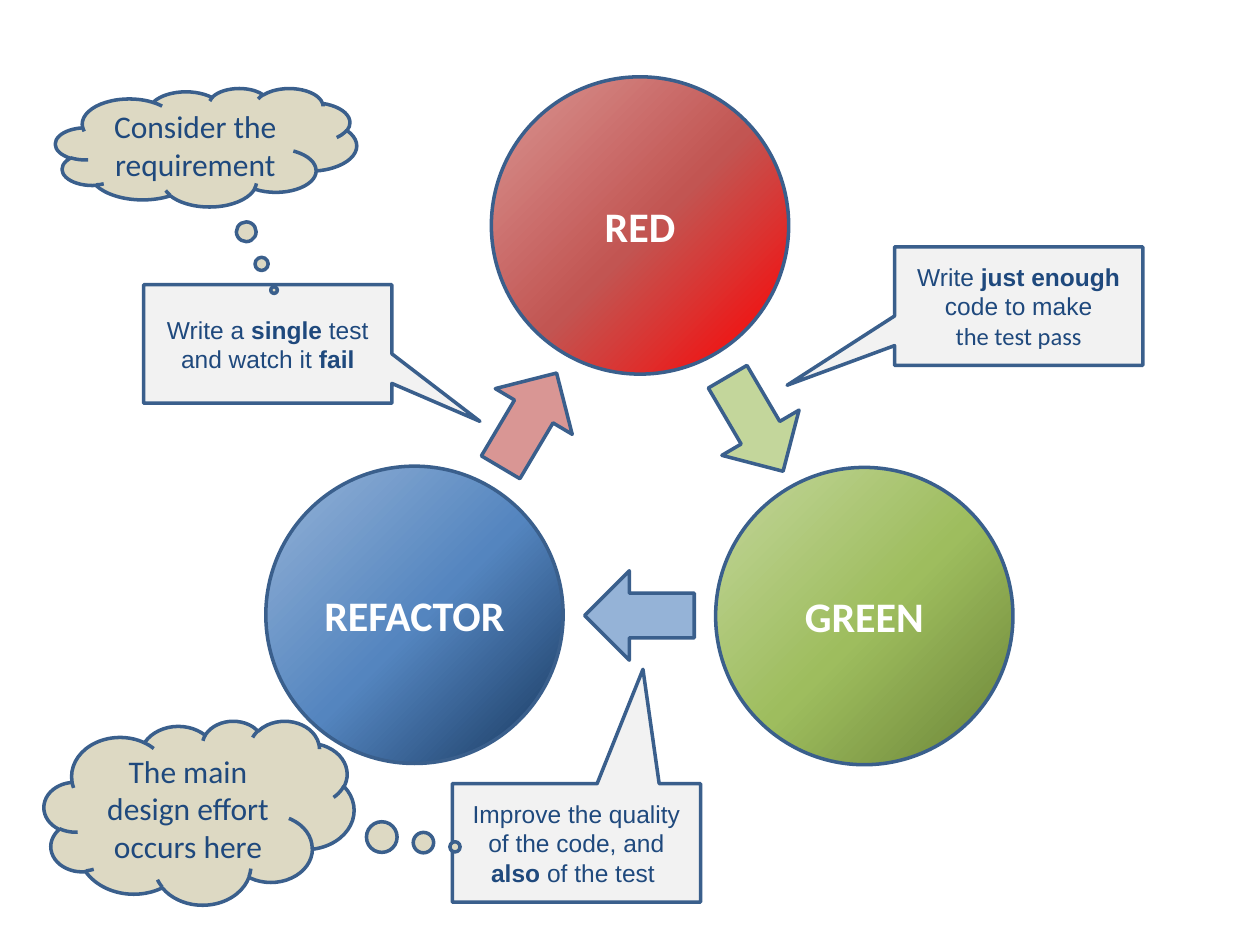
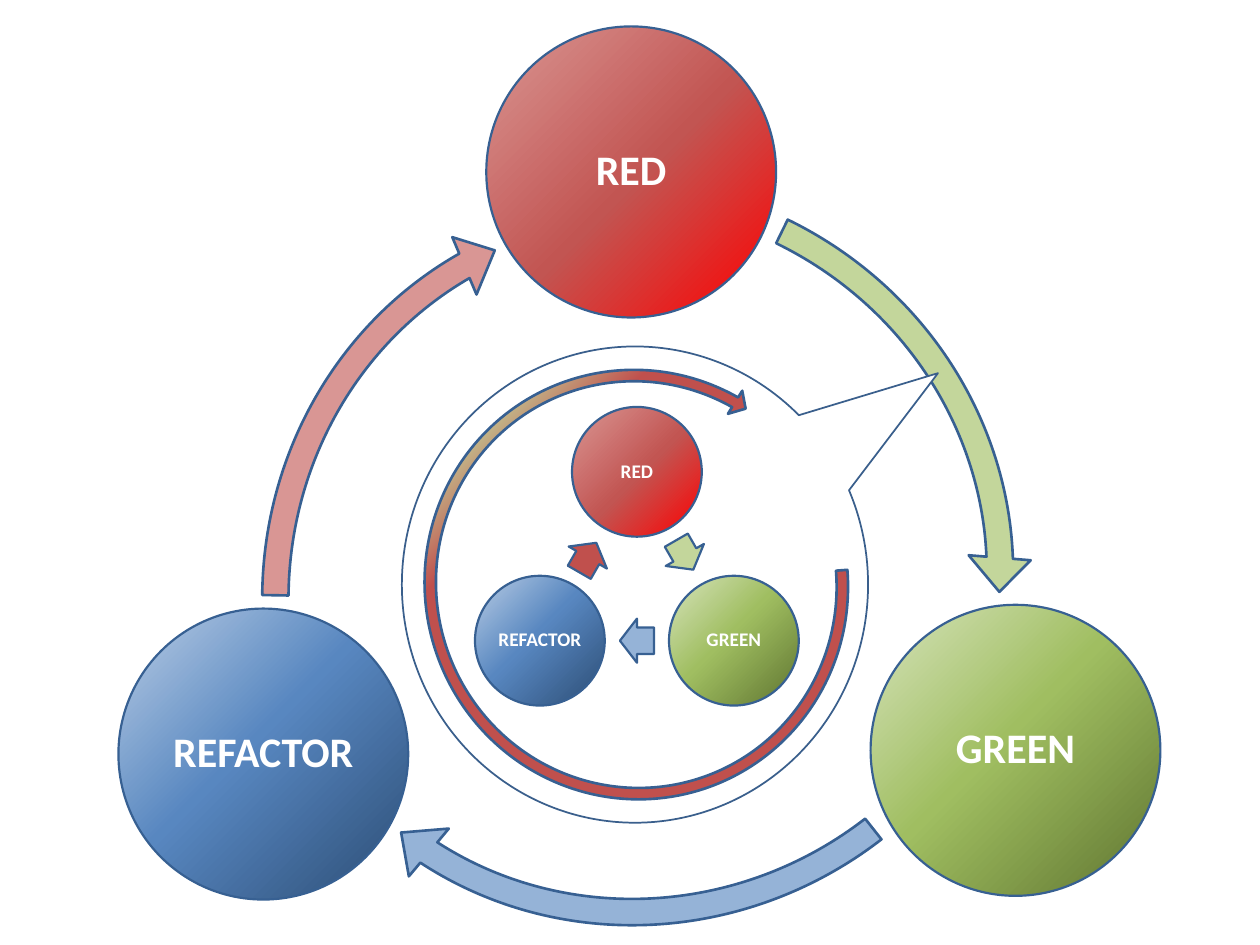
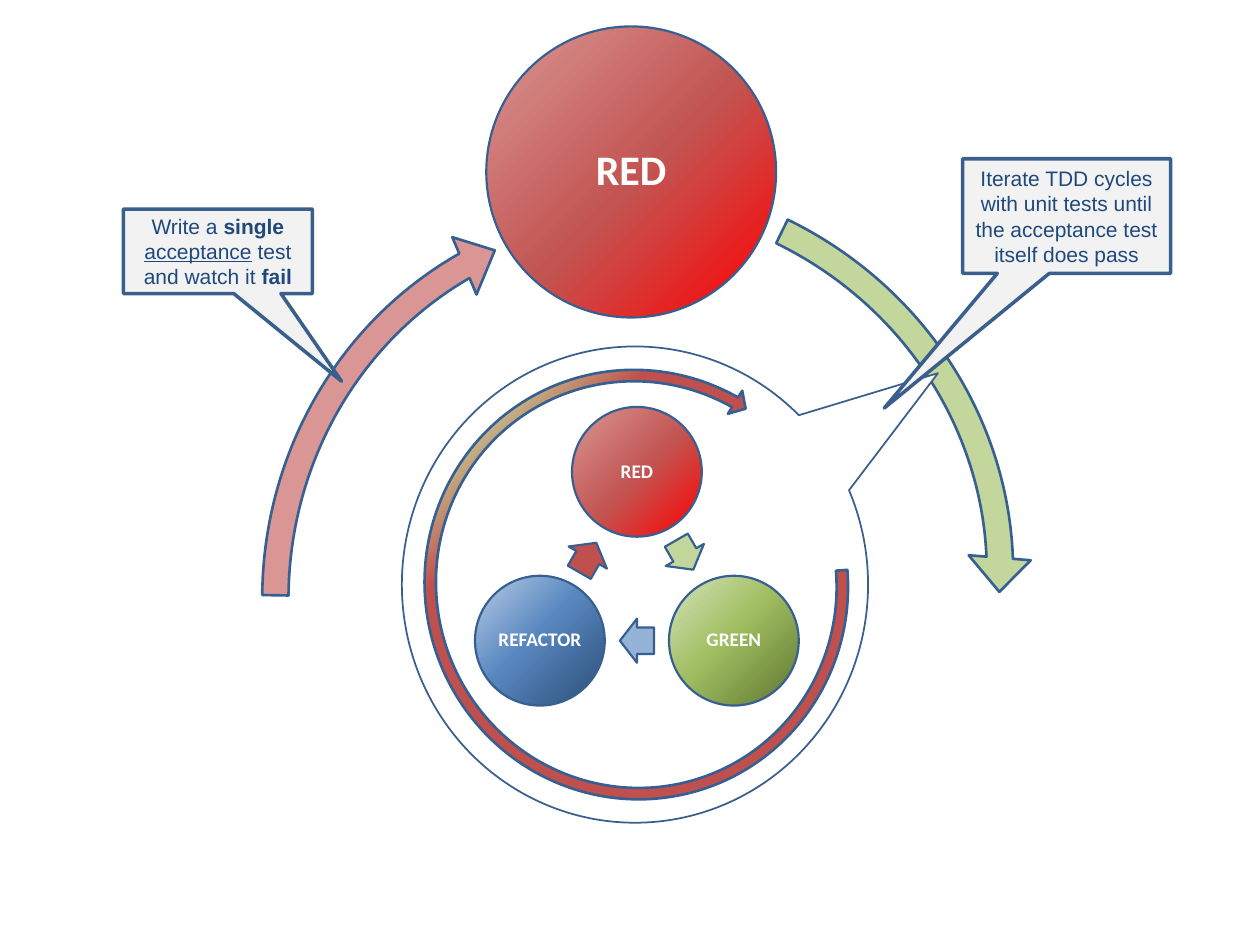
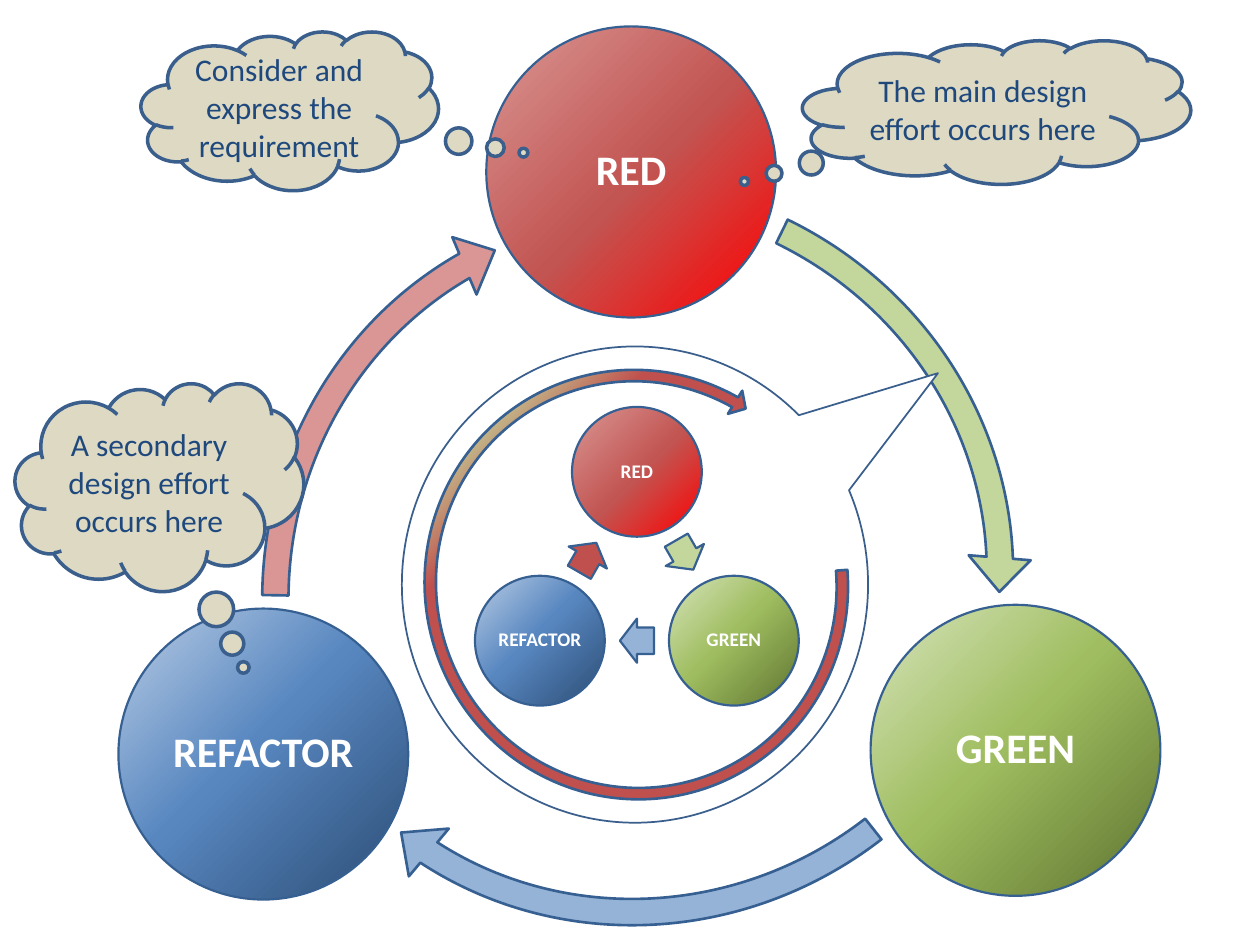
"""Build four slides on the red, green, refactor cycle and its outer acceptance loop."""
from dataclasses import dataclass
from typing import Any, Optional, Union

from lxml import etree
from pptx import Presentation
from pptx import util as u
from pptx.dml.color import RGBColor
from pptx.enum import shapes, text
from pptx.oxml.ns import qn

KIND = shapes.MSO_SHAPE
WHITE = RGBColor(0xFF, 0xFF, 0xFF)
NAVY = RGBColor(0x1F, 0x49, 0x7D)
OUTLINE = RGBColor(0x3A, 0x5F, 0x8C)
EDGE = RGBColor(0x37, 0x60, 0x92)
PALE_GREY = RGBColor(0xF2, 0xF2, 0xF2)
SAND = RGBColor(0xDD, 0xD9, 0xC3)
ROSE = RGBColor(0xD9, 0x96, 0x94)
BRICK = RGBColor(0xC0, 0x50, 0x4D)
LEAF = RGBColor(0xC3, 0xD6, 0x9B)
SKY = RGBColor(0x95, 0xB3, 0xD7)


@dataclass(frozen=True)
class Gradient:
    """Colour stops in percent and a counter-clockwise angle."""
    stops: tuple[tuple[int, RGBColor], ...]
    angle: int


RED_GLOW = Gradient(((0, RGBColor(0xFF, 0x00, 0x00)), (48, RGBColor(0xC2, 0x55, 0x52)), (100, ROSE)), 135)
GREEN_GLOW = Gradient(((0, RGBColor(0x6A, 0x83, 0x36)), (48, RGBColor(0x9E, 0xBD, 0x5E)), (100, LEAF)), 135)
BLUE_GLOW = Gradient(((0, RGBColor(0x17, 0x37, 0x5E)), (48, RGBColor(0x54, 0x85, 0xBF)), (100, SKY)), 135)
GREEN_FADE = Gradient(((0, RGBColor(0xD7, 0xE4, 0xBD)), (46, RGBColor(0xA0, 0xBE, 0x61)),
                       (100, RGBColor(0x5F, 0x75, 0x30))), 315)
BLUE_FADE = Gradient(((0, RGBColor(0xB9, 0xCD, 0xE5)), (46, RGBColor(0x58, 0x87, 0xC0)),
                      (100, RGBColor(0x2C, 0x4D, 0x75))), 315)
RING_FADE = Gradient(((20, LEAF), (32, BRICK)), 315)


@dataclass(frozen=True)
class Figure:
    """A preset shape: box in inches, adjustments in percent."""
    kind: shapes.MSO_SHAPE
    box: tuple[float, float, float, float]
    fill: Union[RGBColor, Gradient]
    line: RGBColor = OUTLINE
    width: float = 2
    adjust: tuple[float, ...] = ()
    turn: float = 0


@dataclass(frozen=True)
class Span:
    """A piece of text with its own emphasis."""
    words: str
    bold: bool = False
    underline: bool = False
    font: Optional[str] = None


@dataclass(frozen=True)
class Style:
    """The look of a text and the margins around it."""
    size: float
    font: str = "Calibri"
    color: RGBColor = NAVY
    margins: tuple[float, float] = (0.1, 0.05)
    spacing: Optional[float] = None


@dataclass(frozen=True)
class Stage:
    """One step of the cycle, as a labelled circle."""
    name: str
    left: float
    top: float
    fill: Gradient


Lines = tuple[tuple[Span, ...], ...]
THOUGHT = Style(18)
NOTE = Style(14, "Arial")
SMALL_NOTE = Style(12, "Arial")
STAGE = Style(24, color=WHITE)
BIG_STAGE = Style(24, color=WHITE, margins=(0.01, 0.01), spacing=0.9)
SMALL_STAGE = Style(11, color=WHITE, margins=(0.02, 0.02), spacing=0.9)

SIMPLE_CYCLE = (Stage("RED", 3.9, 0.61, RED_GLOW), Stage("GREEN", 5.68, 3.71, GREEN_GLOW),
                Stage("REFACTOR", 2.11, 3.7, BLUE_GLOW))
OUTER_CYCLE = (Stage("RED", 3.86, 0.21, RED_GLOW), Stage("GREEN", 6.91, 4.8, GREEN_FADE),
               Stage("REFACTOR", 0.94, 4.83, BLUE_FADE))
INNER_CYCLE = (Stage("RED", 4.54, 3.23, RED_GLOW), Stage("GREEN", 5.31, 4.57, GREEN_FADE),
               Stage("REFACTOR", 3.77, 4.57, BLUE_FADE))


def sweep(left: float, top: float, turn: float, start: float, fill: RGBColor) -> Figure:
    """Describe one long curved arrow of the outer cycle."""
    return Figure(KIND.CIRCULAR_ARROW, (left, top, 6.33, 6.57), fill, EDGE, 1.5,
                  (3.3, 308.1, 14818, start, 3.9), turn)


def step(left: float, top: float, turn: float, fill: RGBColor) -> Figure:
    """Describe one small arrow of the inner cycle."""
    return Figure(KIND.RIGHT_ARROW, (left, top, 0.27, 0.35), fill, EDGE, 1.25, (60, 50), turn)


def block(left: float, top: float, turn: float, fill: RGBColor) -> Figure:
    """Describe one block arrow of the simple cycle."""
    return Figure(KIND.LEFT_ARROW, (left, top, 0.87, 0.71), fill, adjust=(50, 50), turn=turn)


TO_GREEN = sweep(1.75, 1.17, 112.5, 11024.5, LEAF)
TO_RED = sweep(1.94, 1.49, 355, 11159.4, ROSE)
TO_REFACTOR = sweep(1.96, 1, 237.8, 10438.8, SKY)
INNER_BALLOON = Figure(KIND.OVAL_CALLOUT, (3.19, 2.75, 3.7, 3.78), WHITE, width=1, adjust=(65, -44.4))
INNER_RING = Figure(KIND.CIRCULAR_ARROW, (3.28, 2.9, 3.54, 3.48), RING_FADE, EDGE, 1.5,
                    (2.6, 205.2, 13640.7, 17093.7, 3.1), 71.1)
INNER_STEPS = (step(5.3, 4.23, 60, LEAF), step(4.92, 4.91, 180, SKY), step(4.53, 4.25, 300, BRICK))


def paint(shape: Any, fill: Union[RGBColor, Gradient]) -> None:
    """Fill a shape with a plain colour or a gradient."""
    if isinstance(fill, RGBColor):
        shape.fill.solid()
        shape.fill.fore_color.rgb = fill
        return
    shape.fill.gradient()
    shape.fill.gradient_angle = fill.angle
    gradient = shape._element.spPr.find(qn("a:gradFill"))
    gradient.set("rotWithShape", "0")
    stops = gradient.find(qn("a:gsLst"))
    for stop in list(stops):
        stops.remove(stop)
    for position, color in fill.stops:
        stop = etree.SubElement(stops, qn("a:gs"), pos=str(position * 1000))
        etree.SubElement(stop, qn("a:srgbClr"), val=str(color))


def draw(holder: Any, figure: Figure) -> Any:
    """Add a figure to a slide's or group's shapes."""
    shape = holder.add_shape(figure.kind, *map(u.Inches, figure.box))
    shape.shadow.inherit = False
    shape.rotation = figure.turn
    for index, percent in enumerate(figure.adjust):
        shape.adjustments[index] = percent / 100
    paint(shape, figure.fill)
    shape.line.color.rgb = figure.line
    shape.line.width = u.Pt(figure.width)
    return shape


def write(shape: Any, lines: Lines, style: Style) -> None:
    """Write centred text into a shape, run by run."""
    frame = shape.text_frame
    frame.word_wrap = True
    frame.vertical_anchor = text.MSO_ANCHOR.MIDDLE
    frame.margin_left = frame.margin_right = u.Inches(style.margins[0])
    frame.margin_top = frame.margin_bottom = u.Inches(style.margins[1])
    for index, spans in enumerate(lines):
        para = frame.add_paragraph() if index else frame.paragraphs[0]
        para.alignment = text.PP_ALIGN.CENTER
        para.line_spacing = style.spacing
        for span in spans:
            run = para.add_run()
            run.text = span.words
            run.font.name = span.font or style.font
            run.font.size = u.Pt(style.size)
            run.font.bold = span.bold
            run.font.underline = span.underline
            run.font.color.rgb = style.color


def draw_stage(holder: Any, stage: Stage, size: tuple[float, float], style: Style,
               line: RGBColor, width: float) -> None:
    """Add a large circle carrying the name of its stage."""
    circle = draw(holder, Figure(KIND.OVAL, (stage.left, stage.top, *size), stage.fill, line, width))
    write(circle, ((Span(stage.name, bold=True),),), style)


def draw_small_stage(holder: Any, stage: Stage) -> None:
    """Add a small circle with a label centred over it."""
    size, label, inset = 1.03, 0.73, 0.15
    draw(holder, Figure(KIND.OVAL, (stage.left, stage.top, size, size), stage.fill, EDGE, 1.25))
    box = holder.add_textbox(*map(u.Inches, (stage.left + inset, stage.top + inset, label, label)))
    write(box, ((Span(stage.name, bold=True),),), SMALL_STAGE)


def draw_note(page: Any, box: tuple[float, float, float, float], tip: tuple[float, float],
              lines: Lines, style: Style) -> None:
    """Add a rectangular callout."""
    write(draw(page.shapes, Figure(KIND.RECTANGULAR_CALLOUT, box, PALE_GREY, adjust=tip)), lines, style)


def draw_thought(page: Any, box: tuple[float, float, float, float], tip: tuple[float, float],
                 words: str) -> None:
    """Add a cloud callout."""
    write(draw(page.shapes, Figure(KIND.CLOUD_CALLOUT, box, SAND, adjust=tip)), ((Span(words),),), THOUGHT)


def draw_loops(page: Any, stages: tuple[Stage, ...]) -> None:
    """Add the outer stages and the inner cycle in its balloon."""
    draw(page.shapes, TO_GREEN)
    draw(page.shapes, INNER_BALLOON)
    outer = page.shapes.add_group_shape().shapes if len(stages) > 1 else page.shapes
    for stage in stages:
        draw_stage(outer, stage, (2.3, 2.31), BIG_STAGE, EDGE, 1.25)
    inner = page.shapes.add_group_shape().shapes
    draw(inner, INNER_RING)
    for stage, arrow in zip(INNER_CYCLE, INNER_STEPS):
        draw_small_stage(inner, stage)
        draw(inner, arrow)


def simple_cycle(page: Any) -> None:
    """Draw the basic cycle with its explanations."""
    for stage in SIMPLE_CYCLE:
        draw_stage(page.shapes, stage, (2.36, 2.36), STAGE, OUTLINE, 2)
    draw_note(page, (3.59, 6.22, 1.97, 0.94), (26.8, -146.6),
              ((Span("Improve the quality of the code, and "), Span("also", bold=True),
                Span(" of the test ")),), NOTE)
    draw_thought(page, (0.35, 5.72, 2.46, 1.46), (82.6, 18.6), "The main design effort occurs here")
    for arrow in (block(5.56, 3.01, 239.6, LEAF), block(3.76, 2.98, 120.7, ROSE), block(4.64, 4.53, 0, SKY)):
        draw(page.shapes, arrow)
    draw_note(page, (1.14, 2.26, 1.97, 0.94), (85.5, 65.4),
              ((Span("Write a "), Span("single", bold=True), Span(" test and watch it "),
                Span("fail", bold=True)),), NOTE)
    draw_note(page, (7.1, 1.96, 1.97, 0.94), (-93.3, 66.8),
              ((Span("Write "), Span("just enough", bold=True), Span(" code to make")),
               (Span("the test pass", font="Calibri"),)), NOTE)
    draw_thought(page, (0.44, 0.7, 2.39, 0.94), (22.6, 120.5), "Consider the requirement")


def double_loop(page: Any) -> None:
    """Draw the inner cycle nested in the outer one."""
    draw_loops(page, OUTER_CYCLE)
    draw(page.shapes, TO_RED)
    draw(page.shapes, TO_REFACTOR)


def acceptance_test(page: Any) -> None:
    """Draw the first outer stage with its explanations."""
    draw_loops(page, OUTER_CYCLE[:1])
    draw_note(page, (7.64, 1.26, 1.65, 0.91), (-87.7, 167.5),
              ((Span("Iterate TDD cycles with unit tests until the acceptance test itself does pass"),),),
              SMALL_NOTE)
    draw(page.shapes, TO_RED)
    draw_note(page, (0.98, 1.66, 1.5, 0.67), (65.4, 153.9),
              ((Span("Write a "), Span("single ", bold=True), Span("acceptance", underline=True),
                Span(" test and watch it "), Span("fail", bold=True)),), SMALL_NOTE)


def design_effort(page: Any) -> None:
    """Draw both loops with thoughts on the design effort."""
    draw_loops(page, OUTER_CYCLE)
    draw_thought(page, (6.37, 0.32, 3.08, 1.14), (-65, 48.3), "The main design effort occurs here")
    draw_thought(page, (1.12, 0.25, 2.36, 1.26), (78.6, 26.4), "Consider and express the requirement")
    draw(page.shapes, TO_RED)
    draw(page.shapes, TO_REFACTOR)
    draw_thought(page, (0.12, 3.04, 2.29, 1.65), (29.1, 86.8), "A secondary design effort occurs here")


def main() -> None:
    """Build and save the deck."""
    deck = Presentation()
    deck.slide_width, deck.slide_height = u.Inches(10), u.Inches(7.5)
    blank = deck.slide_layouts[6]
    for compose in (simple_cycle, double_loop, acceptance_test, design_effort):
        compose(deck.slides.add_slide(blank))
    deck.save("out.pptx")


if __name__ == "__main__":
    main()
